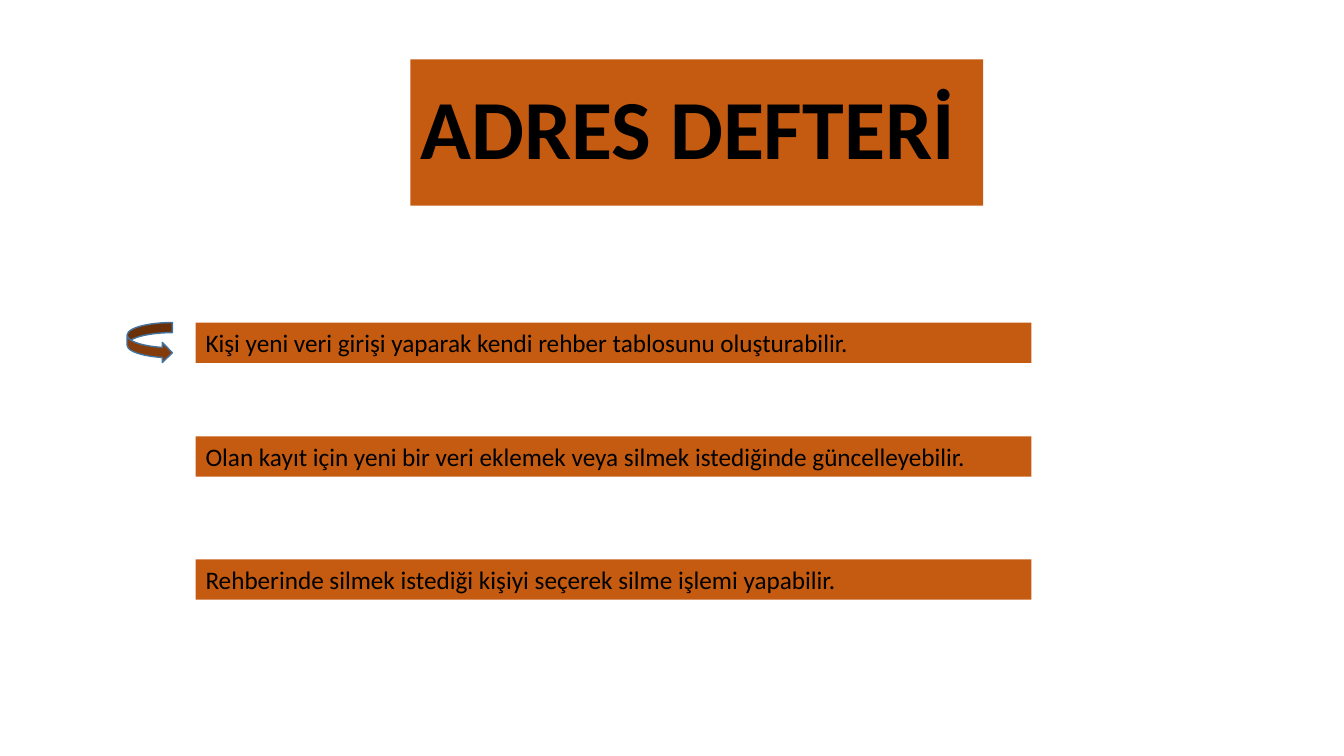
from dataclasses import dataclass
from pptx import Presentation
from pptx.dml.color import RGBColor
from pptx.enum.shapes import MSO_SHAPE
from pptx.enum.text import MSO_ANCHOR
from pptx.util import Inches, Pt


@dataclass(frozen=True)
class Theme:
    font: str = "Calibri"
    fill: RGBColor = RGBColor(0xC5, 0x5A, 0x11)
    ink: RGBColor = RGBColor(0, 0, 0)
    arrow: RGBColor = RGBColor(0x84, 0x3C, 0x0B)
    edge: RGBColor = RGBColor(0x43, 0x73, 0x9E)
    title: int = 60
    body: int = 18


THEME = Theme()
STEPS = [
    (0, "Kişi yeni veri girişi yaparak kendi rehber tablosunu oluşturabilir."),
    (1.13, "Olan kayıt için yeni bir veri eklemek veya silmek istediğinde güncelleyebilir."),
    (2.35, "Rehberinde silmek istediği kişiyi seçerek silme işlemi yapabilir."),
]


def add_bar(slide, box, text, size, bold=False):
    bar = slide.shapes.add_textbox(*map(Inches, box))
    bar.fill.solid()
    bar.fill.fore_color.rgb = THEME.fill
    frame = bar.text_frame
    frame.word_wrap = True
    run = frame.paragraphs[0].add_run()
    run.text = text
    run.font.name = THEME.font
    run.font.size = Pt(size)
    run.font.bold = bold
    run.font.color.rgb = THEME.ink
    return frame


def add_title(slide, box):
    frame = add_bar(slide, box, "ADRES DEFTERİ", THEME.title, True)
    frame.vertical_anchor = MSO_ANCHOR.MIDDLE
    frame.paragraphs[0].line_spacing = 0.9


def add_arrow(slide, box):
    arrow = slide.shapes.add_shape(MSO_SHAPE.CURVED_RIGHT_ARROW, *map(Inches, box))
    arrow.shadow.inherit = False
    arrow.fill.solid()
    arrow.fill.fore_color.rgb = THEME.arrow
    arrow.line.color.rgb = THEME.edge
    arrow.line.width = Pt(1)


def add_steps(slide, box):
    left, top, width, height = box
    for drop, text in STEPS:
        add_bar(slide, (left, top + drop, width, height), text, THEME.body)
    add_arrow(slide, (left - 0.68, top, 0.45, height))


def main():
    deck = Presentation()
    deck.slide_width = Inches(13.33)
    deck.slide_height = Inches(7.5)
    slide = deck.slides.add_slide(deck.slide_layouts[6])
    add_title(slide, (4.07, 0.59, 5.68, 1.45))
    add_steps(slide, (1.94, 3.2, 8.29, 0.4))
    deck.save("out.pptx")


if __name__ == "__main__":
    main()
